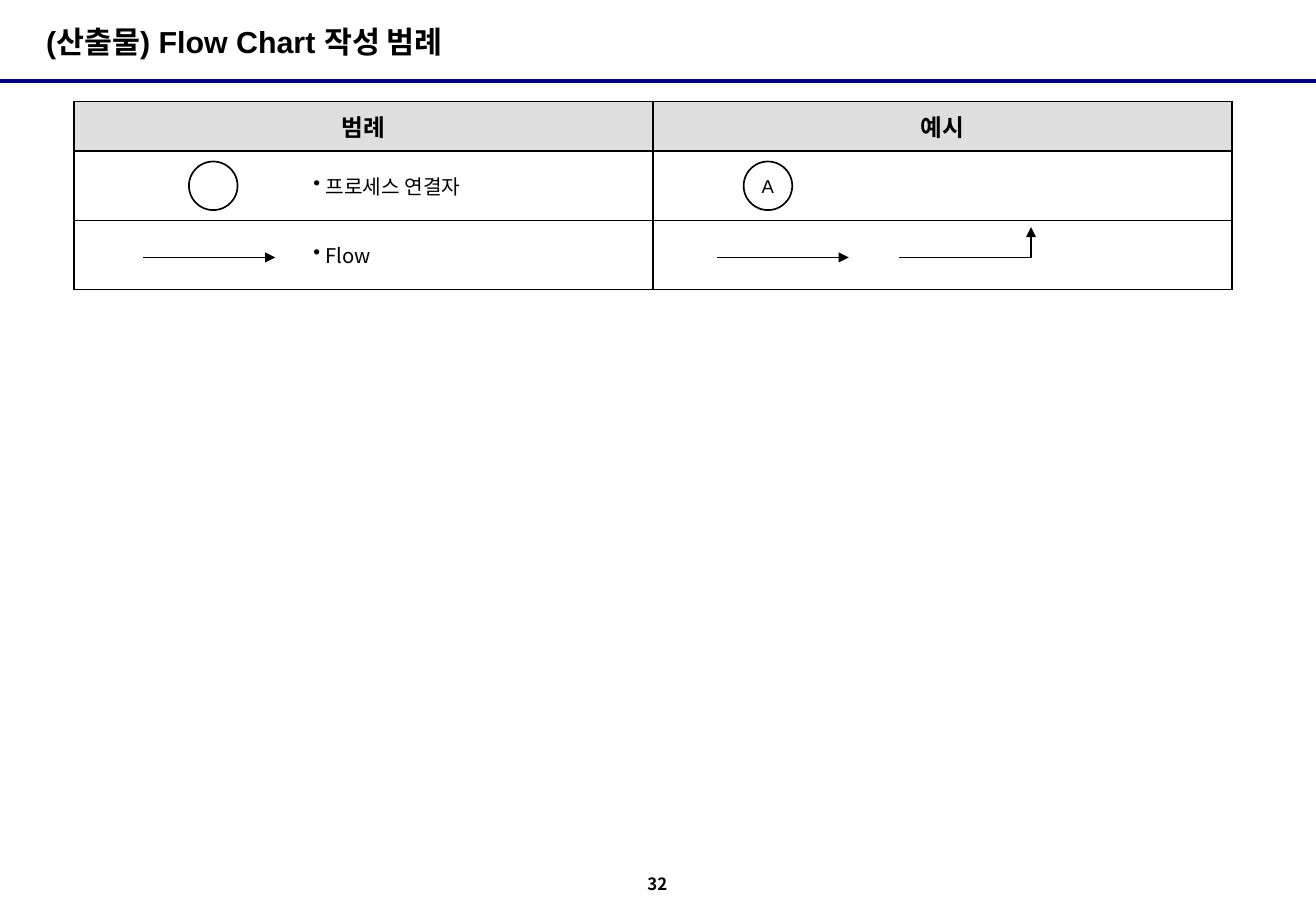
"""Build the flow chart legend slide on a grid of tenth-inch columns and rows."""
from dataclasses import dataclass

import lxml.etree
import pptx
import pptx.dml.color
import pptx.enum.shapes
import pptx.enum.text
import pptx.oxml.ns
import pptx.util

BLACK = pptx.dml.color.RGBColor(0x00, 0x00, 0x00)
WHITE = pptx.dml.color.RGBColor(0xFF, 0xFF, 0xFF)
NAVY = pptx.dml.color.RGBColor(0x00, 0x00, 0x80)
HEADER_GRAY = pptx.dml.color.RGBColor(0xDF, 0xDF, 0xDF)
KOREAN_FONT = "Noto Sans CJK KR"
LATIN_FONT = "Arial"
SLIDE_COLUMNS, SLIDE_ROWS = 108.3, 75
TABLE_LEFT, TABLE_TOP = 6.1, 8.35
COLUMN_WIDTH = 47.65
ROW_HEIGHTS = (4.1, 5.7, 5.7)
CIRCLE_SIZE = 4
ARROW_LENGTH = 10.85
ARROW_ROW = 21.2
ELBOW_RISE = 2.5
LEFT = pptx.enum.text.PP_ALIGN.LEFT
CENTER = pptx.enum.text.PP_ALIGN.CENTER
MIDDLE = pptx.enum.text.MSO_ANCHOR.MIDDLE


@dataclass(frozen=True)
class TextStyle:
    size: float
    font: str = KOREAN_FONT
    bold: bool = False
    align: int = LEFT


@dataclass(frozen=True)
class Label:
    text: str
    left: float
    top: float
    width: float
    height: float
    style: TextStyle


@dataclass(frozen=True)
class Circle:
    left: float
    top: float
    text: str = ""


HEADER_STYLE = TextStyle(14, bold=True, align=CENTER)
LEGEND_STYLE = TextStyle(12)
CIRCLE_STYLE = TextStyle(11, LATIN_FONT, align=CENTER)
LABELS = (
    Label("(산출물) Flow Chart 작성 범례", 3.8, 0, 70.8, 6.8, TextStyle(18, LATIN_FONT, True)),
    Label("32", 47.4, 70.6, 13.4, 4.4, TextStyle(10, bold=True, align=CENTER)),
)
HEADERS = ("범례", "예시")
LEGENDS = ("프로세스 연결자", "Flow")
CIRCLES = (Circle(15.55, 13.3), Circle(61.2, 13.3, "A"))
ARROW_LEFTS = (11.8, 59)
ELBOW_LEFT = 74


def grid(units: float) -> int:
    return pptx.util.Inches(units / 10)


def add_element(parent, tag: str, **attributes: str):
    return lxml.etree.SubElement(parent, pptx.oxml.ns.qn(tag), attributes)


def write_text(frame, text: str, style: TextStyle) -> None:
    paragraph = frame.paragraphs[0]
    paragraph.text = text
    paragraph.alignment = style.align
    font = paragraph.font
    font.size = pptx.util.Pt(style.size)
    font.name = style.font
    font.bold = style.bold
    font.color.rgb = BLACK
    latin = paragraph._p.pPr.find(".//" + pptx.oxml.ns.qn("a:latin"))
    latin.addnext(latin.makeelement(pptx.oxml.ns.qn("a:ea"), {"typeface": KOREAN_FONT}))


def clear_margins(frame) -> None:
    frame.margin_left = frame.margin_right = 0
    frame.margin_top = frame.margin_bottom = 0
    frame.vertical_anchor = MIDDLE


def add_label(slide, label: Label) -> None:
    box = slide.shapes.add_textbox(
        grid(label.left), grid(label.top), grid(label.width), grid(label.height))
    clear_margins(box.text_frame)
    box.text_frame.word_wrap = True
    write_text(box.text_frame, label.text, label.style)


def add_line(slide, left: float, right: float, row: float, color, weight: float):
    line = slide.shapes.add_connector(
        pptx.enum.shapes.MSO_CONNECTOR.STRAIGHT, grid(left), grid(row), grid(right), grid(row))
    line.line.color.rgb = color
    line.line.width = pptx.util.Pt(weight)
    add_element(line._element.spPr, "a:effectLst")
    return line


def add_arrowhead(shape) -> None:
    add_element(shape.line._get_or_add_ln(), "a:tailEnd", type="triangle")


def format_cell(cell, fill_color) -> None:
    properties = cell._tc.get_or_add_tcPr()
    for side in ("a:lnL", "a:lnR", "a:lnT", "a:lnB"):
        border = add_element(properties, side, w=str(pptx.util.Pt(1)))
        add_element(add_element(border, "a:solidFill"), "a:srgbClr", val=str(BLACK))
    cell.fill.solid()
    cell.fill.fore_color.rgb = fill_color
    cell.vertical_anchor = MIDDLE


def write_legend(cell, text: str) -> None:
    cell.margin_left = grid(19.7)
    properties = cell.text_frame.paragraphs[0]._p.get_or_add_pPr()
    hanging = grid(1)
    properties.set("marL", str(hanging))
    properties.set("indent", str(-hanging))
    add_element(properties, "a:buChar", char="•")
    write_text(cell.text_frame, text, LEGEND_STYLE)


def add_legend_table(slide) -> None:
    table = slide.shapes.add_table(
        len(ROW_HEIGHTS), len(HEADERS), grid(TABLE_LEFT), grid(TABLE_TOP),
        grid(COLUMN_WIDTH * len(HEADERS)), grid(sum(ROW_HEIGHTS))).table
    for row, height in zip(table.rows, ROW_HEIGHTS):
        row.height = grid(height)
    for index, header in enumerate(HEADERS):
        table.columns[index].width = grid(COLUMN_WIDTH)
        for row_index in range(len(ROW_HEIGHTS)):
            format_cell(table.cell(row_index, index), WHITE if row_index else HEADER_GRAY)
        write_text(table.cell(0, index).text_frame, header, HEADER_STYLE)
    for row_index, legend in enumerate(LEGENDS, start=1):
        write_legend(table.cell(row_index, 0), legend)


def add_circle(slide, circle: Circle) -> None:
    shape = slide.shapes.add_shape(
        pptx.enum.shapes.MSO_SHAPE.FLOWCHART_CONNECTOR,
        grid(circle.left), grid(circle.top), grid(CIRCLE_SIZE), grid(CIRCLE_SIZE))
    shape.shadow.inherit = False
    shape.fill.solid()
    shape.fill.fore_color.rgb = WHITE
    shape.line.color.rgb = BLACK
    shape.line.width = pptx.util.Pt(1)
    if circle.text:
        clear_margins(shape.text_frame)
        write_text(shape.text_frame, circle.text, CIRCLE_STYLE)


def add_elbow_arrow(slide) -> None:
    right = grid(ELBOW_LEFT + ARROW_LENGTH)
    builder = slide.shapes.build_freeform(grid(ELBOW_LEFT), grid(ARROW_ROW))
    builder.add_line_segments(
        [(right, grid(ARROW_ROW)), (right, grid(ARROW_ROW - ELBOW_RISE))], close=False)
    elbow = builder.convert_to_shape()
    elbow.shadow.inherit = False
    elbow.fill.background()
    elbow.line.color.rgb = BLACK
    elbow.line.width = pptx.util.Pt(0.75)
    add_arrowhead(elbow)


def main() -> None:
    presentation = pptx.Presentation()
    presentation.slide_width = grid(SLIDE_COLUMNS)
    presentation.slide_height = grid(SLIDE_ROWS)
    slide = presentation.slides.add_slide(presentation.slide_layouts[6])
    add_line(slide, 0, SLIDE_COLUMNS, 6.7, NAVY, 2.25)
    for label in LABELS:
        add_label(slide, label)
    add_legend_table(slide)
    for circle in CIRCLES:
        add_circle(slide, circle)
    for left in ARROW_LEFTS:
        add_arrowhead(add_line(slide, left, left + ARROW_LENGTH, ARROW_ROW, BLACK, 0.75))
    add_elbow_arrow(slide)
    presentation.save("out.pptx")


if __name__ == "__main__":
    main()
